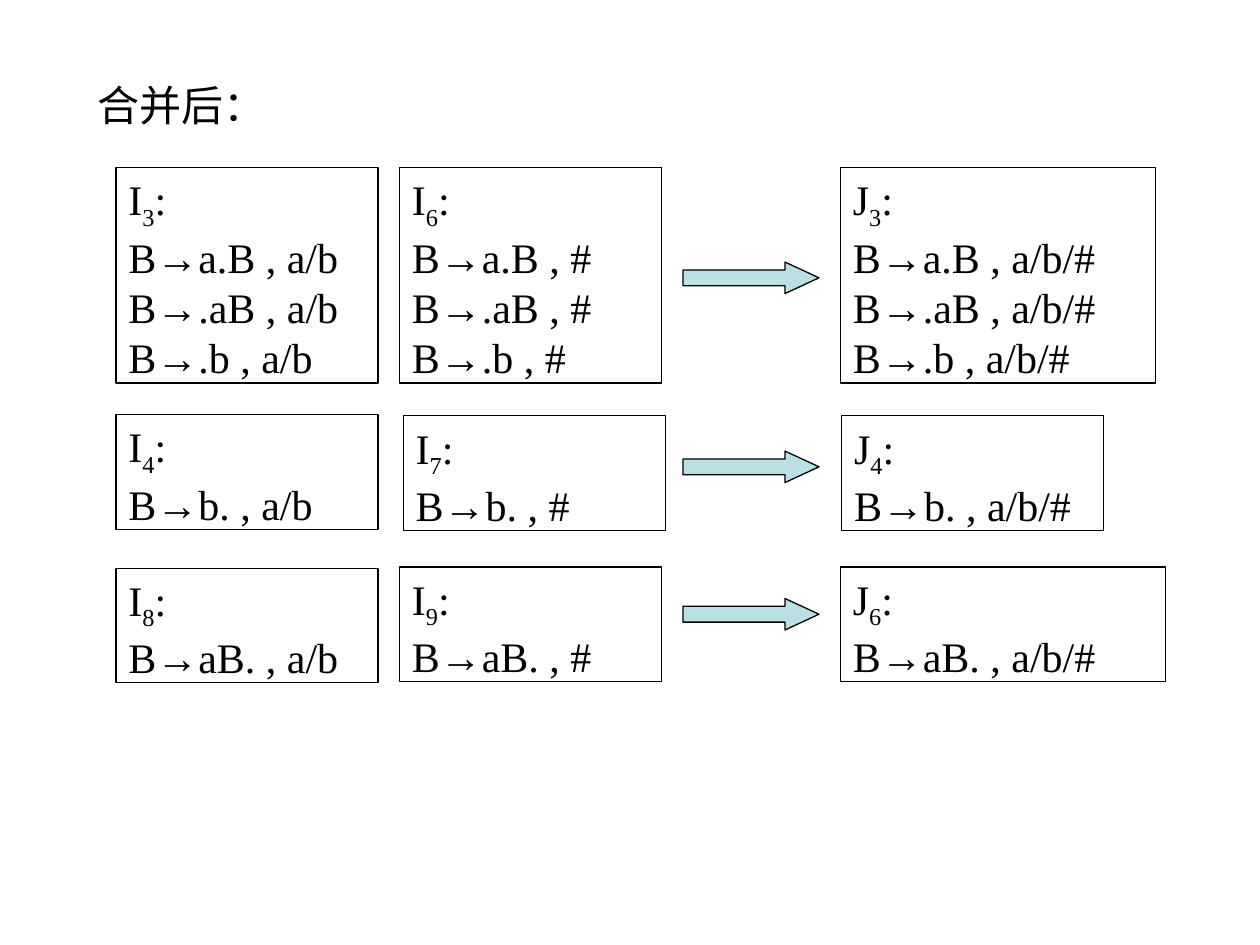
from pptx import Presentation
from pptx.dml.color import RGBColor
from pptx.enum import shapes, text
from pptx.util import Inches, Pt

BLACK = RGBColor(0x00, 0x00, 0x00)
PALE_TEAL = RGBColor(0xBB, 0xE0, 0xE3)
FONT = "Times New Roman"

TITLE = "合并后："
ARROW_LEFT, ARROW_WIDTH, ARROW_HEIGHT = 5.42, 1.08, 0.25

# Each state: letter, index, lookahead, left, top, width
MERGES = [
    {"items": ["B→a.B", "B→.aB", "B→.b"], "height": 1.71, "arrow_top": 2.08,
     "states": [("I", "3", "a/b", 0.92, 1.33, 2.08),
                ("I", "6", "#", 3.17, 1.33, 2.08),
                ("J", "3", "a/b/#", 6.67, 1.33, 2.5)]},
    {"items": ["B→b."], "height": 0.91, "arrow_top": 3.58,
     "states": [("I", "4", "a/b", 0.92, 3.29, 2.08),
                ("I", "7", "#", 3.2, 3.3, 2.08),
                ("J", "4", "a/b/#", 6.68, 3.3, 2.08)]},
    {"items": ["B→aB."], "height": 0.91, "arrow_top": 4.75,
     "states": [("I", "8", "a/b", 0.92, 4.51, 2.08),
                ("I", "9", "#", 3.17, 4.5, 2.08),
                ("J", "6", "a/b/#", 6.67, 4.5, 2.58)]},
]


def add_run(paragraph, content, size=24, color=BLACK, baseline=None):
    """Add a run; baseline is a shift in thousandths of a percent."""
    run = paragraph.add_run()
    run.text = content
    run.font.name = FONT
    run.font.size = Pt(size)
    run.font.color.rgb = color
    if baseline is not None:
        run.font._element.set("baseline", str(baseline))


def prepare_frame(shape):
    """Set the text frame to top-left and return its first paragraph."""
    frame = shape.text_frame
    frame.word_wrap = True
    frame.auto_size = text.MSO_AUTO_SIZE.NONE
    frame.vertical_anchor = text.MSO_ANCHOR.TOP
    paragraph = frame.paragraphs[0]
    paragraph.alignment = text.PP_ALIGN.LEFT
    return paragraph


def add_shape(slide, kind, left, top, width, height, fill=None):
    shape = slide.shapes.add_shape(
        kind, Inches(left), Inches(top), Inches(width), Inches(height))
    shape.shadow.inherit = False
    if fill is None:
        shape.fill.background()
    else:
        shape.fill.solid()
        shape.fill.fore_color.rgb = fill
    shape.line.color.rgb = BLACK
    shape.line.width = Pt(0.75)
    return shape


def add_state(slide, state, items, height):
    letter, index, lookahead, left, top, width = state
    box = add_shape(slide, shapes.MSO_SHAPE.RECTANGLE, left, top, width, height)
    paragraph = prepare_frame(box)
    add_run(paragraph, letter)
    add_run(paragraph, index, baseline=-25000)
    add_run(paragraph, ":")
    for item in items:
        paragraph.add_line_break()
        add_run(paragraph, f"{item} , {lookahead}")


def add_arrow(slide, top):
    arrow = add_shape(slide, shapes.MSO_SHAPE.RIGHT_ARROW, ARROW_LEFT, top,
                      ARROW_WIDTH, ARROW_HEIGHT, fill=PALE_TEAL)
    arrow.adjustments[0] = 0.5
    arrow.adjustments[1] = 1.08


def main():
    presentation = Presentation()
    presentation.slide_width = Inches(10)
    presentation.slide_height = Inches(7.5)
    slide = presentation.slides.add_slide(presentation.slide_layouts[5])

    title = slide.shapes.title
    title.left, title.top = Inches(0.67), Inches(0.58)
    title.width, title.height = Inches(3), Inches(0.5)
    add_run(prepare_frame(title), TITLE)

    for merge in MERGES:
        for state in merge["states"]:
            add_state(slide, state, merge["items"], merge["height"])
        add_arrow(slide, merge["arrow_top"])

    presentation.save("out.pptx")


if __name__ == "__main__":
    main()
